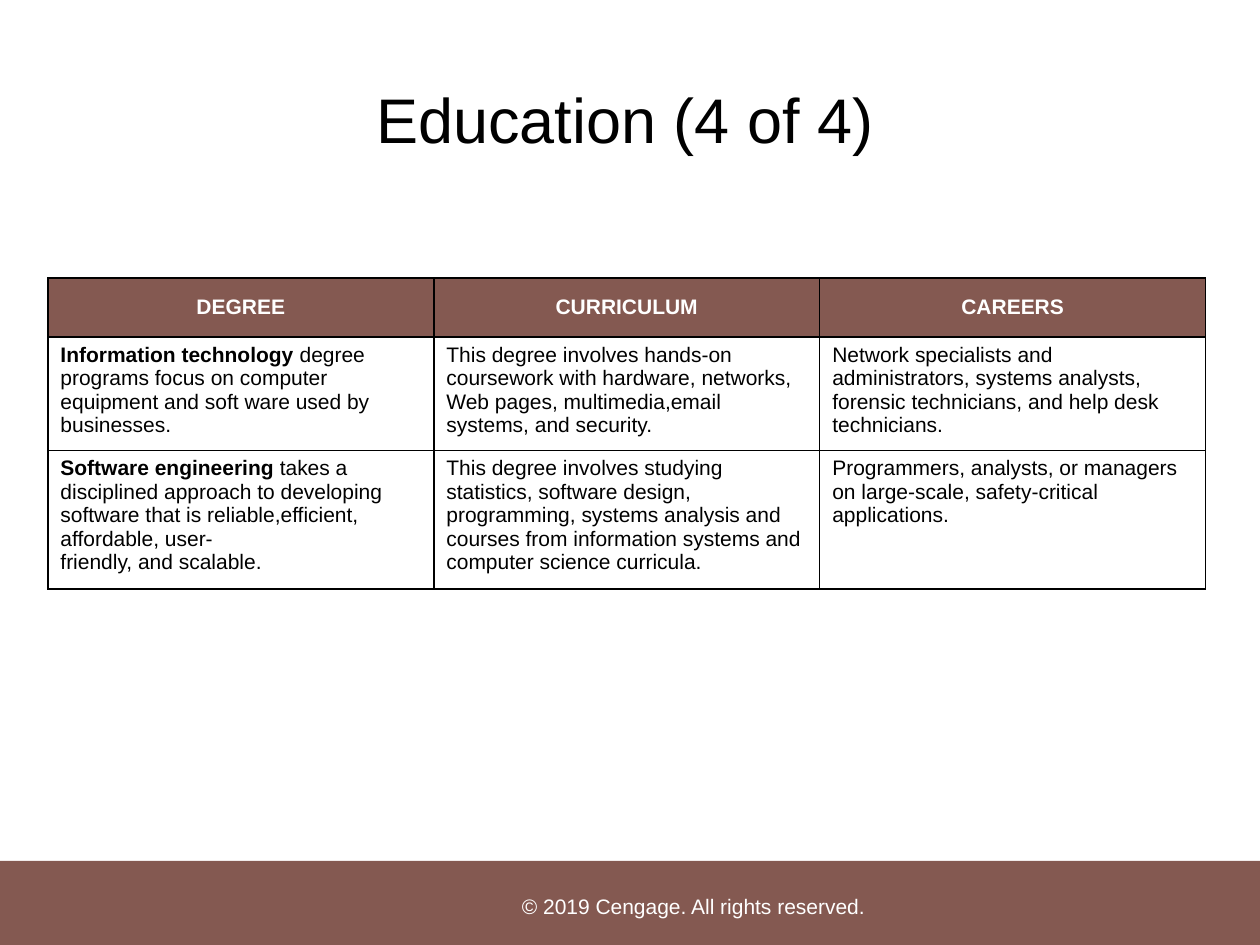
import pptx
import pptx.dml.color
import pptx.enum.shapes
import pptx.enum.text
import pptx.oxml.ns
import pptx.util
from lxml import etree

COLORS = {"brand": "845951", "ink": "000000", "paper": "FFFFFF"}
FONT = "Arial"
SLIDE_WIDTH = pptx.util.Inches(10)
SLIDE_HEIGHT = pptx.util.Inches(7.5)
MIDDLE = pptx.enum.text.MSO_ANCHOR.MIDDLE
CENTER = pptx.enum.text.PP_ALIGN.CENTER
LEFT = pptx.enum.text.PP_ALIGN.LEFT

HEADINGS = ["DEGREE", "CURRICULUM", "CAREERS"]
PROGRAMS = [
    [
        [[("Information technology ", True),
          ("degree programs focus on computer equipment and soft ware used by businesses.", False)]],
        [[("This degree involves hands-on coursework with hardware, networks, "
           "Web pages, multimedia,email systems, and security.", False)]],
        [[("Network specialists and administrators, systems analysts, "
           "forensic technicians, and help desk technicians.", False)]],
    ],
    [
        [[("Software engineering ", True),
          ("takes a disciplined approach to developing software that is "
           "reliable,efficient, affordable, user-", False)],
         [("friendly, and scalable.", False)]],
        [[("This degree involves studying statistics, software design, programming, "
           "systems analysis and courses from information systems and", False)],
         [("computer science curricula.", False)]],
        [[("Programmers, analysts, or managers on large-scale, "
           "safety-critical applications.", False)]],
    ],
]


def rgb(color):
    return pptx.dml.color.RGBColor.from_string(COLORS[color])


def share(left, top, width, height):
    return (int(SLIDE_WIDTH * left), int(SLIDE_HEIGHT * top),
            int(SLIDE_WIDTH * width), int(SLIDE_HEIGHT * height))


def write(frame, paragraphs, size, color, align):
    frame.word_wrap = True
    for index, runs in enumerate(paragraphs):
        paragraph = frame.add_paragraph() if index else frame.paragraphs[0]
        paragraph.alignment = align
        for text, bold in runs:
            run = paragraph.add_run()
            run.text = text
            run.font.name = FONT
            run.font.size = pptx.util.Pt(size)
            run.font.bold = bold
            run.font.color.rgb = rgb(color)


def add_band(slide, box):
    band = slide.shapes.add_shape(pptx.enum.shapes.MSO_SHAPE.RECTANGLE, *box)
    band.shadow.inherit = False
    band.fill.solid()
    band.fill.fore_color.rgb = rgb("brand")
    band.line.fill.background()
    return band


def add_footer(slide):
    add_band(slide, share(0, 0.911, 1, 0.089))
    notice = add_band(slide, share(0.167, 0.934, 0.767, 0.05)).text_frame
    notice.margin_left = notice.margin_right = 0
    notice.margin_top = notice.margin_bottom = 0
    notice.vertical_anchor = MIDDLE
    write(notice, [[("© 2019 Cengage. All rights reserved.", False)]], 12, "paper", CENTER)


def add_title(slide, text):
    title = slide.shapes.add_textbox(*share(0.057, 0.052, 0.878, 0.147)).text_frame
    title.vertical_anchor = MIDDLE
    write(title, [[(text, False)]], 36, "ink", CENTER)


def add_borders(cell):
    properties = cell._tc.get_or_add_tcPr()
    for side in ("a:lnL", "a:lnR", "a:lnT", "a:lnB"):
        border = etree.SubElement(properties, pptx.oxml.ns.qn(side), w=str(pptx.util.Pt(1)))
        fill = etree.SubElement(border, pptx.oxml.ns.qn("a:solidFill"))
        etree.SubElement(fill, pptx.oxml.ns.qn("a:srgbClr"), val=COLORS["ink"])


def add_degree_table(slide):
    heading_row = [[[(heading, True)]] for heading in HEADINGS]
    rows = [heading_row] + PROGRAMS
    row_heights = [0.47, 0.87, 1.03]
    box = share(0.038, 0.294, 0.919, 0.316)
    table = slide.shapes.add_table(len(rows), len(HEADINGS), *box).table
    table.first_row = False
    table.horz_banding = False
    for column in table.columns:
        column.width = box[2] // len(HEADINGS)
    for row_index, (contents, height) in enumerate(zip(rows, row_heights)):
        table.rows[row_index].height = pptx.util.Inches(height)
        for column_index, paragraphs in enumerate(contents):
            cell = table.cell(row_index, column_index)
            add_borders(cell)
            if row_index == 0:
                cell.fill.solid()
                cell.fill.fore_color.rgb = rgb("brand")
                cell.vertical_anchor = MIDDLE
                write(cell.text_frame, paragraphs, 12, "paper", CENTER)
            else:
                cell.fill.background()
                write(cell.text_frame, paragraphs, 12, "ink", LEFT)


def main():
    deck = pptx.Presentation()
    deck.slide_width = SLIDE_WIDTH
    deck.slide_height = SLIDE_HEIGHT
    slide = deck.slides.add_slide(deck.slide_layouts[6])
    slide.background.fill.solid()
    slide.background.fill.fore_color.rgb = rgb("paper")
    add_footer(slide)
    add_title(slide, "Education (4 of 4)")
    add_degree_table(slide)
    deck.save("out.pptx")


if __name__ == "__main__":
    main()
